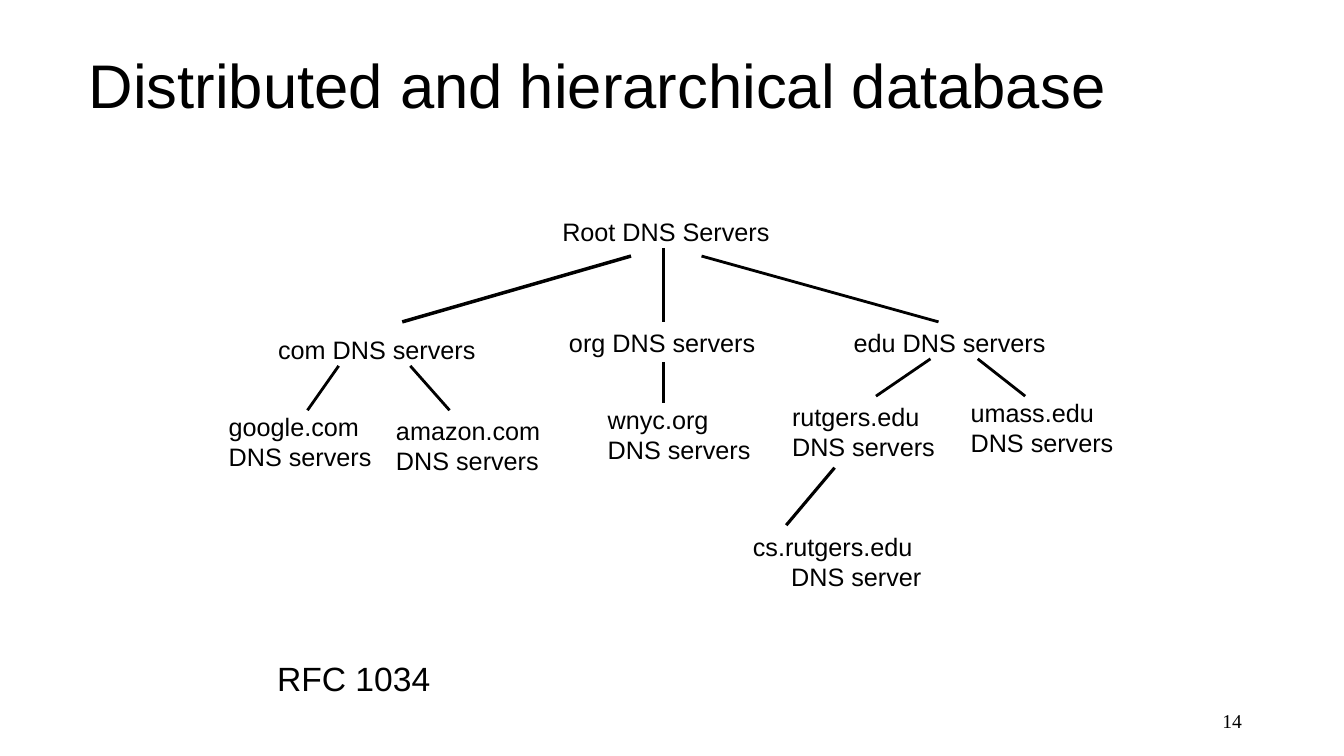
from lxml.etree import SubElement
from pptx import Presentation
from pptx.dml.color import RGBColor
from pptx.enum.shapes import MSO_CONNECTOR as Connector
from pptx.enum.text import MSO_ANCHOR as Anchor, MSO_AUTO_SIZE as AutoSize, PP_ALIGN as Align
from pptx.oxml.ns import qn
from pptx.util import Inches, Pt

BLACK = RGBColor(0x00, 0x00, 0x00)
TOP, BOTTOM = 0, 2


class HierarchySlide:
    """Places elements in percent of the slide's width and height."""

    font, label_size, line_width = "Arial", 18, 2

    def __init__(self, deck):
        self.width, self.height = deck.slide_width, deck.slide_height
        self.slide = deck.slides.add_slide(deck.slide_layouts[5])
        self.shapes = self.slide.shapes

    def point(self, x, y):
        return round(self.width * x / 100), round(self.height * y / 100)

    def style(self, frame, size, font=None):
        for paragraph in frame.paragraphs:
            for run in paragraph.runs:
                run.font.size = Pt(size)
                run.font.name = font or self.font
                run.font.color.rgb = BLACK

    def title(self, text, x, y, width, height):
        heading = self.shapes.title
        heading.left, heading.top = self.point(x, y)
        heading.width, heading.height = self.point(width, height)
        frame = heading.text_frame
        frame.text = text
        frame.vertical_anchor = Anchor.MIDDLE
        frame.paragraphs[0].alignment = Align.LEFT
        frame.paragraphs[0].line_spacing = 0.9
        self.style(frame, 44)

    def label(self, text, x, y, width, height=5.33, size=label_size):
        box = self.shapes.add_textbox(*self.point(x, y), *self.point(width, height))
        frame = box.text_frame
        frame.text = text
        frame.word_wrap = False
        frame.auto_size = AutoSize.SHAPE_TO_FIT_TEXT
        self.style(frame, size)
        return box

    def hanging_label(self, text, x, y, width, height, indent):
        """Adds a label whose lines after the first are indented."""
        box = self.label(text, x, y, width, height)
        properties = box.text_frame.paragraphs[0]._p.get_or_add_pPr()
        properties.set("marL", str(Inches(indent)))
        properties.set("indent", str(-Inches(indent)))

    def page_number(self, text, x, y, width, height):
        box = self.shapes.add_textbox(*self.point(x, y), *self.point(width, height))
        frame = box.text_frame
        frame.text = text
        frame.word_wrap = True
        frame.vertical_anchor = Anchor.MIDDLE
        frame.paragraphs[0].alignment = Align.RIGHT
        self.style(frame, 14, "Times New Roman")

    def branch(self, start, end, width=line_width):
        line = self.shapes.add_connector(
            Connector.STRAIGHT, *self.point(*start), *self.point(*end))
        line.line.color.rgb = BLACK
        line.line.width = Pt(width)
        SubElement(line._element.spPr, qn("a:effectLst"))
        return line


def main():
    deck = Presentation()
    deck.slide_width, deck.slide_height = Inches(13.33), Inches(7.5)
    page = HierarchySlide(deck)
    page.title("Distributed and hierarchical database", 5.85, 3.33, 85, 16.67)

    zone_top = 42.58
    page.label("Root DNS Servers", 41.1, 28, 17.1)
    page.label("com DNS servers", 19.95, 43.6, 16.4)
    org = page.label("org DNS servers", 41.6, zone_top, 15.5)
    page.label("edu DNS servers", 62.78, zone_top, 16.1)

    for domain, x, y in (
        ("google.com", 16.28, 53.73),
        ("amazon.com", 28.73, 54.27),
        ("wnyc.org", 44.48, 52.8),
        ("rutgers.edu", 58.2, 52.4),
        ("umass.edu", 71.48, 51.87),
    ):
        page.label(f"{domain}\nDNS servers", x, y, 12.5, 9.33)
    page.hanging_label("cs.rutgers.edu\vDNS server", 55.28, 69.6, 14.03, 9.33, 0.38)

    root_base = 33.87
    com_base, com_leaf_top = 48.4, 54.27
    edu_base, edu_leaf_top = 47.47, 52.4
    org_middle = 49.35
    page.branch((46.95, root_base), (29.93, zone_top), 2.5)
    page.branch((52.2, root_base), (69.83, zone_top))
    page.branch((25.2, com_base), (22.88, com_leaf_top))
    page.branch((30.53, com_base), (33.45, com_leaf_top))
    page.branch((69.23, edu_base), (65.18, edu_leaf_top))
    page.branch((72.75, edu_base), (76.28, edu_leaf_top))
    page.branch((62.1, 61.87), (58.5, 69.47), 2.25)

    root_to_org = page.branch((org_middle, 32.8), (org_middle, zone_top))
    root_to_org.end_connect(org, TOP)
    org_to_wnyc = page.branch((org_middle, edu_base), (org_middle, 53.33))
    org_to_wnyc.begin_connect(org, BOTTOM)

    page.label("RFC 1034", 19.88, 86.4, 13.2, 6.67, size=24)
    page.page_number("14", 70.65, 92.67, 22.5, 5.33)
    deck.save("out.pptx")


if __name__ == "__main__":
    main()
